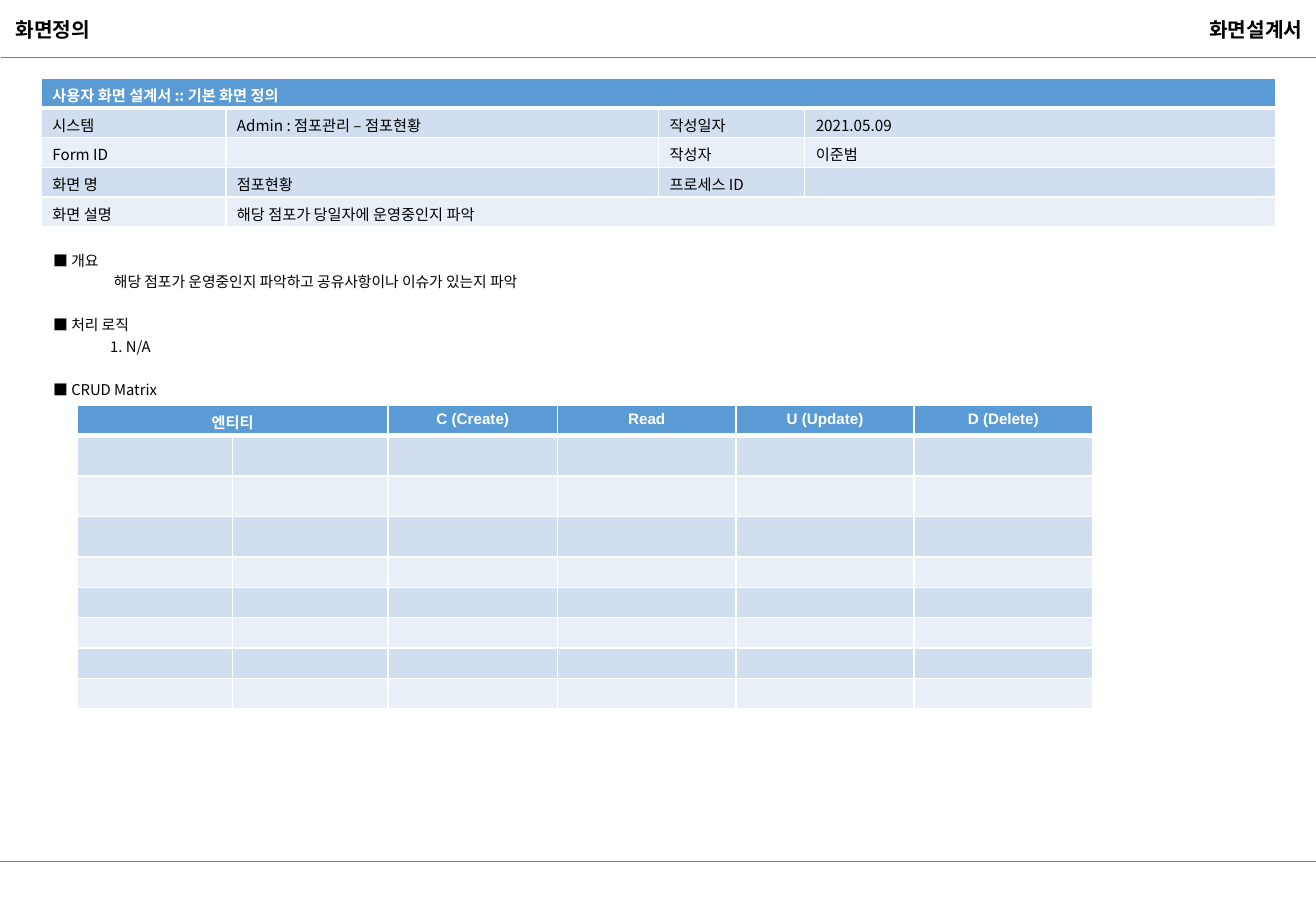
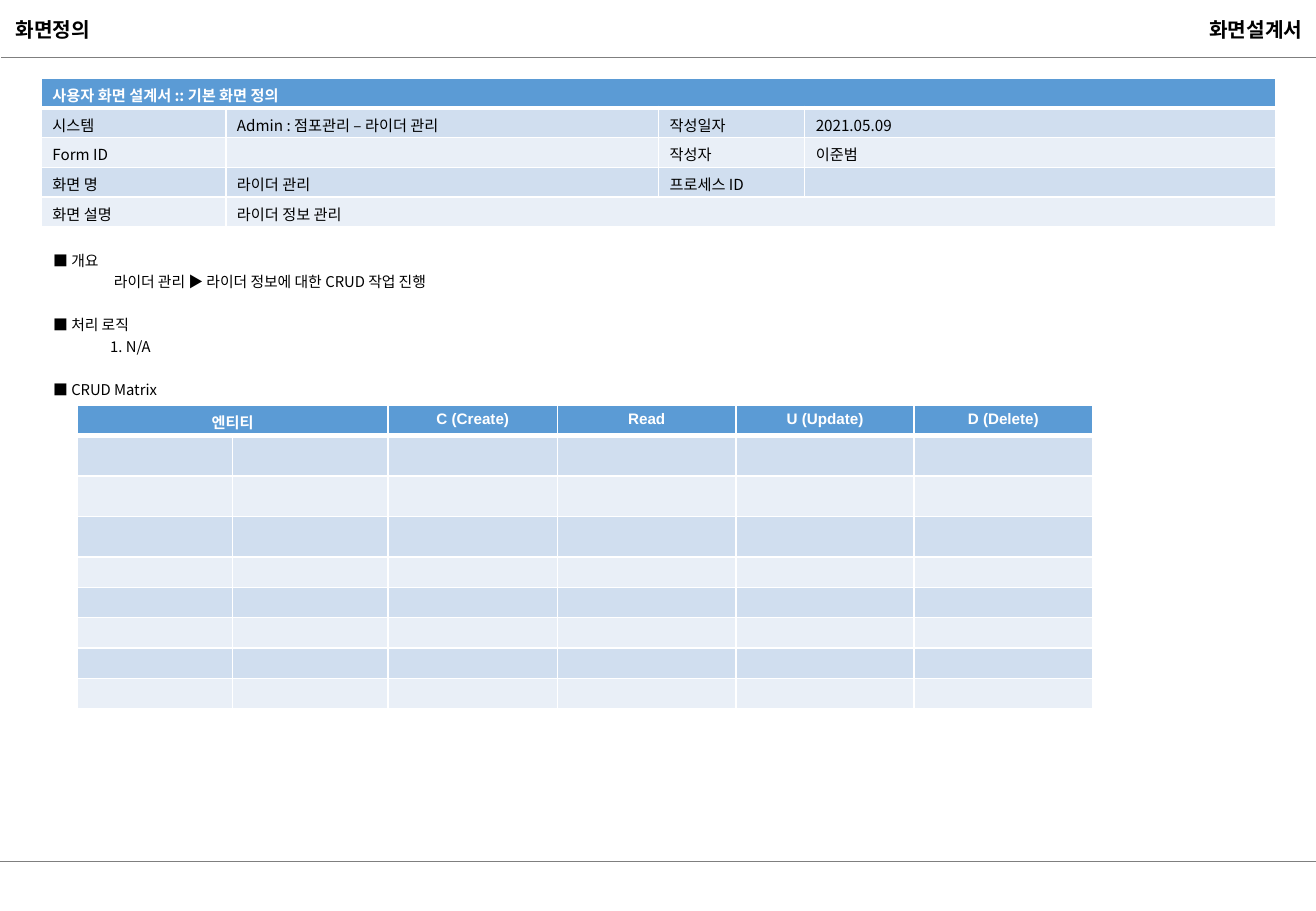
import pptx
import pptx.dml.color
import pptx.enum.shapes
import pptx.enum.text
import pptx.oxml
import pptx.oxml.ns
import pptx.util

Pt = pptx.util.Pt
ALIGN = pptx.enum.text.PP_ALIGN

SLIDE_WIDTH, SLIDE_HEIGHT = 780, 540
KOREAN_FONT, LATIN_FONT = "Noto Sans CJK KR", "Arial"
BLACK, WHITE, RULE_GREY = "000000", "FFFFFF", "7F7F7F"
HEADER_BLUE = "5B9BD5"
BANDS = ("D0DEEF", "E9EFF7")
CELL_SIZE, BODY_SIZE, TITLE_SIZE = 9, 8.8, 12
LINE_SPACING, SECTION_GAP = 1.21, 12.7

SECTION_TITLE, DOCUMENT_TITLE = "화면정의", "화면설계서"
FORM_TITLE = "사용자 화면 설계서 :: 기본 화면 정의"
WRITTEN_ON, AUTHOR = "2021.05.09", "이준범"
CRUD_HEADER = ["엔티티", "", "C (Create)", "Read", "U (Update)", "D (Delete)"]

SCREENS = [
    {
        "name": "점포현황",
        "description": "해당 점포가 당일자에 운영중인지 파악",
        "overview": "해당 점포가 운영중인지 파악하고 공유사항이나 이슈가 있는지 파악",
    },
    {
        "name": "라이더 관리",
        "description": "라이더 정보 관리",
        "overview": "라이더 관리 ▶ 라이더 정보에 대한 CRUD 작업 진행",
    },
]

FORM_COLUMNS = [109.4, 256.5, 86.6, 279]
FORM_ROWS = [17.57] * 5
CRUD_COLUMNS = [92.1] * 2 + [100.6] + [105.7] * 3
CRUD_ROWS = [18] + [24] * 3 + [18] * 5


def color(hex_text):
    return pptx.dml.color.RGBColor.from_string(hex_text)


def style(paragraph, size, font=KOREAN_FONT, ink=BLACK, bold=False):
    for run in paragraph.runs:
        run.font.size = Pt(size)
        run.font.name = font
        run.font.bold = bold
        run.font.color.rgb = color(ink)
        east_asian = pptx.oxml.parse_xml(
            f'<a:ea {pptx.oxml.ns.nsdecls("a")} typeface="{KOREAN_FONT}"/>')
        run.font._element.find(pptx.oxml.ns.qn("a:latin")).addnext(east_asian)


def add_text_frame(slide, left, top, width, height):
    frame = slide.shapes.add_textbox(Pt(left), Pt(top), Pt(width), Pt(height)).text_frame
    frame.word_wrap = True
    return frame


def add_rule(slide, left, y):
    rule = slide.shapes.add_connector(
        pptx.enum.shapes.MSO_CONNECTOR.STRAIGHT, Pt(left), Pt(y), Pt(SLIDE_WIDTH), Pt(y))
    rule.line.color.rgb = color(RULE_GREY)
    rule.line.width = Pt(0.75)
    rule._element.spPr.append(
        pptx.oxml.parse_xml(f'<a:effectLst {pptx.oxml.ns.nsdecls("a")}/>'))


def add_frame(slide):
    """Add the rules and the two running titles that every slide shares."""
    add_rule(slide, 0, 510.5)
    add_rule(slide, 0.7, 34.3)
    for title, left, width, align in (
        (SECTION_TITLE, 2.2, 62.6, ALIGN.LEFT),
        (DOCUMENT_TITLE, 558, 221, ALIGN.RIGHT),
    ):
        frame = add_text_frame(slide, left, 6.5, width, 21.6)
        frame.auto_size = pptx.enum.text.MSO_AUTO_SIZE.SHAPE_TO_FIT_TEXT
        frame.text = title
        frame.paragraphs[0].alignment = align
        style(frame.paragraphs[0], TITLE_SIZE, bold=True)


def set_borders(cell, row):
    """Draw white cell borders, with a thick one between header and body."""
    widths = {"L": 1, "R": 1, "T": 3 if row == 1 else 1, "B": 3 if row == 0 else 1}
    for side, width in widths.items():
        cell._tc.get_or_add_tcPr().append(pptx.oxml.parse_xml(
            f'<a:ln{side} {pptx.oxml.ns.nsdecls("a")} w="{Pt(width)}"><a:solidFill>'
            f'<a:srgbClr val="{WHITE}"/></a:solidFill></a:ln{side}>'))


def add_banded_table(slide, left, top, columns, heights, rows, spans,
                     font=KOREAN_FONT, align=ALIGN.LEFT, side_margin=7.2):
    """Add a table; spans lists (row, first column, last column) to merge."""
    table = slide.shapes.add_table(
        len(heights), len(columns), Pt(left), Pt(top),
        Pt(sum(columns)), Pt(sum(heights))).table
    for column, width in zip(table.columns, columns):
        column.width = Pt(width)
    for r, (height, texts) in enumerate(zip(heights, rows)):
        table.rows[r].height = Pt(height)
        for c, text in enumerate(texts):
            cell = table.cell(r, c)
            set_borders(cell, r)
            cell.fill.solid()
            cell.fill.fore_color.rgb = color(BANDS[(r - 1) % 2] if r else HEADER_BLUE)
            cell.margin_left = cell.margin_right = Pt(side_margin)
            cell.margin_top = cell.margin_bottom = Pt(3.4)
            paragraph = cell.text_frame.paragraphs[0]
            paragraph.alignment = align
            if text:
                paragraph.text = text
                style(paragraph, CELL_SIZE, font, BLACK if r else WHITE, r == 0)
            else:
                paragraph._p.get_or_add_endParaRPr().set("sz", str(CELL_SIZE * 100))
    for r, first, last in spans:
        table.cell(r, first).merge(table.cell(r, last))


def add_sections(slide, overview):
    lines = [
        ("■ 개요", 0), (overview, 36),
        ("■ 처리 로직", 0), ("1. N/A", 33.8),
        ("■ CRUD Matrix", 0),
    ]
    frame = add_text_frame(slide, 24.5, 143.3, 731.5, 95)
    for i, (text, indent) in enumerate(lines):
        paragraph = frame.add_paragraph() if i else frame.paragraphs[0]
        paragraph.text = text
        paragraph.line_spacing = LINE_SPACING
        if indent:
            paragraph.level = 1
            paragraph._p.get_or_add_pPr().set("marL", str(Pt(indent)))
        elif i:
            paragraph.space_before = Pt(SECTION_GAP)
        style(paragraph, BODY_SIZE)


def add_screen(presentation, screen):
    slide = presentation.slides.add_slide(presentation.slide_layouts[6])
    add_frame(slide)
    form = [
        [FORM_TITLE, "", "", ""],
        ["시스템", f"Admin : 점포관리 – {screen['name']}", "작성일자", WRITTEN_ON],
        ["Form ID", "", "작성자", AUTHOR],
        ["화면 명", screen["name"], "프로세스 ID", ""],
        ["화면 설명", screen["description"], "", ""],
    ]
    add_banded_table(slide, 24.5, 46.4, FORM_COLUMNS, FORM_ROWS, form,
                     [(0, 0, 3), (4, 1, 3)], side_margin=6.6)
    add_sections(slide, screen["overview"])
    crud = [CRUD_HEADER] + [[""] * len(CRUD_COLUMNS)] * (len(CRUD_ROWS) - 1)
    add_banded_table(slide, 45.7, 240.2, CRUD_COLUMNS, CRUD_ROWS, crud,
                     [(0, 0, 1)], font=LATIN_FONT, align=ALIGN.CENTER)


def main():
    presentation = pptx.Presentation()
    presentation.slide_width, presentation.slide_height = Pt(SLIDE_WIDTH), Pt(SLIDE_HEIGHT)
    for screen in SCREENS:
        add_screen(presentation, screen)
    presentation.save("out.pptx")


if __name__ == "__main__":
    main()
